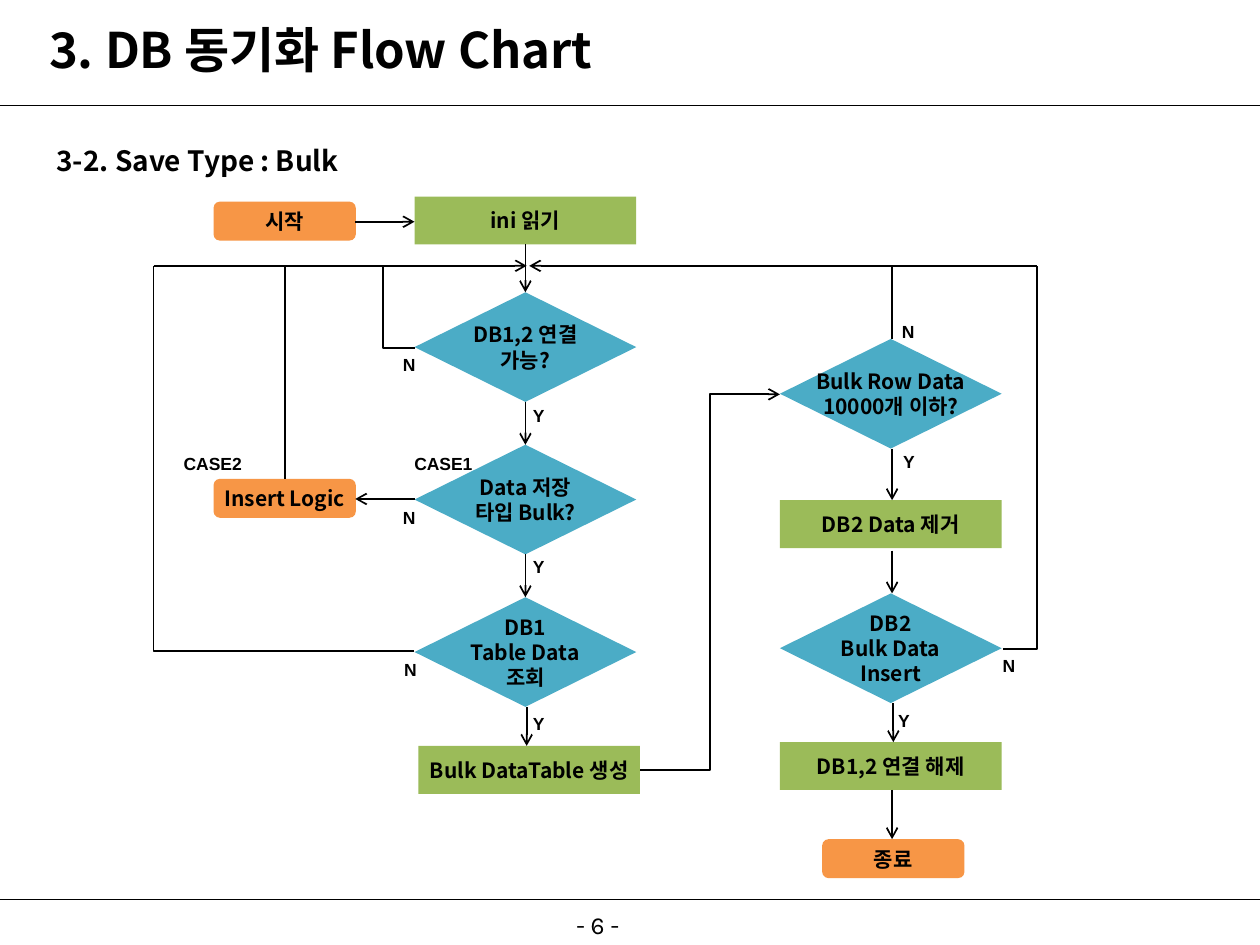
from pptx import Presentation
from pptx.dml.color import RGBColor
from pptx.enum.shapes import MSO_CONNECTOR, MSO_SHAPE
from pptx.enum.text import MSO_ANCHOR, MSO_AUTO_SIZE, PP_ALIGN
from pptx.oxml.ns import qn
from pptx.util import Inches, Pt
from lxml.etree import SubElement

HANGUL = "Noto Sans CJK KR"
BLACK = "000000"
SIDE, MAIN, BULK = 2.26, 4.17, 7.07
STEP_TOP, STEP_PITCH = 2.32, 1.21
STEPS = [STEP_TOP + STEP_PITCH * row for row in range(3)]
CHECK_TOP, INSERT_TOP = 2.69, 4.71
BOX_W, DIAMOND_H, BOX_H = 1.76, 0.87, 0.38
RETURN_Y = 2.11
MAIN_LEFT, BULK_LEFT = MAIN - BOX_W / 2, BULK - BOX_W / 2

KINDS = {
    "terminal": (MSO_SHAPE.FLOWCHART_ALTERNATE_PROCESS, "F79646", 1.13, 0.31),
    "process": (MSO_SHAPE.RECTANGLE, "9BBB59", BOX_W, BOX_H),
    "decision": (MSO_SHAPE.DIAMOND, "4BACC6", BOX_W, DIAMOND_H),
}

NODES = [
    ("terminal", SIDE, 1.6, "시작"),
    ("process", MAIN, 1.56, "ini 읽기"),
    ("decision", MAIN, STEPS[0], "DB1,2 연결\n가능?"),
    ("decision", MAIN, STEPS[1], "Data 저장\n타입 Bulk?"),
    ("terminal", SIDE, 3.8, "Insert Logic"),
    ("decision", MAIN, STEPS[2], "DB1\nTable Data\n조회"),
    ("process", MAIN + 0.03, 5.92, "Bulk DataTable 생성"),
    ("decision", BULK, CHECK_TOP, "Bulk Row Data\n10000개 이하?"),
    ("process", BULK, 3.97, "DB2 Data 제거"),
    ("decision", BULK, INSERT_TOP, "DB2\nBulk Data\nInsert"),
    ("process", BULK, 5.89, "DB1,2 연결 해제"),
    ("terminal", BULK + 0.02, 6.66, "종료"),
]

ANSWERS = [
    ("N", 3.1, 2.76), ("N", 3.1, 3.97), ("N", 3.11, 5.18),
    ("Y", 4.13, 3.16), ("Y", 4.13, 4.36), ("Y", 4.13, 5.61),
    ("N", 7.06, 2.5), ("Y", 7.07, 3.53),
    ("N", 7.86, 5.15), ("Y", 7.03, 5.58),
    ("CASE1", 3.19, 3.54), ("CASE2", 1.36, 3.54),
]
ANSWER_WIDTHS = {"N": 0.3, "Y": 0.29, "CASE1": 0.67, "CASE2": 0.67}

DOWN_ARROWS = [
    (MAIN, 1.94, STEPS[0]),
    (MAIN, STEPS[0] + DIAMOND_H, STEPS[1]),
    (MAIN, STEPS[1] + DIAMOND_H, STEPS[2]),
    (MAIN + 0.01, STEPS[2] + DIAMOND_H, 5.92),
    (BULK + 0.01, CHECK_TOP + DIAMOND_H, 3.97),
    (BULK + 0.01, 4.37, INSERT_TOP),
    (BULK + 0.02, INSERT_TOP + DIAMOND_H, 5.89),
    (BULK + 0.01, 6.27, 6.66),
]


def color(value):
    return RGBColor.from_string(value)


def write(frame, text, size=12, font=HANGUL, bold=True, align=PP_ALIGN.CENTER,
          anchor=MSO_ANCHOR.MIDDLE, wrap=False, spacing=None):
    frame.auto_size = MSO_AUTO_SIZE.NONE
    frame.word_wrap = wrap
    frame.vertical_anchor = anchor
    for index, line in enumerate(text.split("\n")):
        paragraph = frame.add_paragraph() if index else frame.paragraphs[0]
        paragraph.alignment = align
        paragraph.line_spacing = spacing
        run = paragraph.add_run()
        run.text = line
        run.font.size = Pt(size)
        run.font.bold = bold
        run.font.name = font
        run.font.color.rgb = color(BLACK)
        east_asian = SubElement(run.font._element, qn("a:ea"))
        east_asian.set("typeface", font)


def add_label(slide, text, left, top, width, height, **style):
    label = slide.shapes.add_textbox(*map(Inches, (left, top, width, height)))
    write(label.text_frame, text, **style)


def add_node(slide, kind, center, top, text):
    outline, fill, width, height = KINDS[kind]
    node = slide.shapes.add_shape(
        outline, *map(Inches, (center - width / 2, top, width, height)))
    node.shadow.inherit = False
    node.fill.solid()
    node.fill.fore_color.rgb = color(fill)
    node.line.fill.background()
    write(node.text_frame, text)


def add_flow(slide, start, end, route=MSO_CONNECTOR.STRAIGHT, arrow=None, weight=1):
    flow = slide.shapes.add_connector(route, *map(Inches, (*start, *end)))
    flow.line.color.rgb = color(BLACK)
    flow.line.width = Pt(weight)
    if arrow:
        SubElement(flow.line._get_or_add_ln(), qn(f"a:{arrow}")).set("type", "arrow")
    SubElement(flow._element.spPr, qn("a:effectLst"))
    return flow


def add_elbow(slide, start, end, bend=None, arrow=None):
    elbow = add_flow(slide, start, end, MSO_CONNECTOR.ELBOW, arrow)
    geometry = elbow._element.spPr.find(qn("a:prstGeom"))
    if bend is None:
        geometry.set("prst", "bentConnector2")
    else:
        guides = geometry.find(qn("a:avLst"))
        if guides is None:
            guides = SubElement(geometry, qn("a:avLst"))
        guide = SubElement(guides, qn("a:gd"))
        guide.set("name", "adj1")
        guide.set("fmla", f"val {round(bend * 100000)}")


def add_headings(slide):
    title = slide.shapes.title
    title.left, title.top, title.width, title.height = map(
        Inches, (0.29, 0.15, 9.75, 0.47))
    write(title.text_frame, "3. DB 동기화 Flow Chart", size=28,
          align=PP_ALIGN.LEFT, wrap=True)
    add_label(slide, "3-2. Save Type : Bulk", 0.35, 0.96, 3.88, 0.45, size=16,
              align=PP_ALIGN.LEFT, anchor=MSO_ANCHOR.TOP, wrap=True, spacing=1.5)
    add_label(slide, "- 6 -", 3.98, 7.17, 1.53, 0.33, size=14, font="Karla",
              bold=False, anchor=MSO_ANCHOR.TOP, wrap=True)
    for rule_y in (0.84, 7.14):
        add_flow(slide, (0, rule_y), (10, rule_y), weight=0.75)


def add_flows(slide):
    for x, top, bottom in DOWN_ARROWS:
        add_flow(slide, (x, top), (x, bottom), arrow="tailEnd")
    add_flow(slide, (2.82, 1.76), (MAIN_LEFT, 1.76), arrow="tailEnd")
    add_flow(slide, (MAIN_LEFT, 3.96), (2.82, 3.96), arrow="tailEnd")
    add_flow(slide, (SIDE, 3.8), (SIDE, RETURN_Y))
    add_flow(slide, (1.22, RETURN_Y), (3.05, RETURN_Y))
    add_flow(slide, (7.06, RETURN_Y), (8.23, RETURN_Y))
    add_elbow(slide, (MAIN_LEFT, 2.76), (4.18, RETURN_Y), bend=-0.28, arrow="tailEnd")
    add_elbow(slide, (5.08, 6.11), (BULK_LEFT, 3.13), bend=0.5, arrow="tailEnd")
    add_elbow(slide, (MAIN_LEFT, 5.17), (1.22, RETURN_Y))
    add_elbow(slide, (4.2, RETURN_Y), (7.08, CHECK_TOP), arrow="headEnd")
    add_elbow(slide, (7.96, 5.15), (8.23, RETURN_Y))


def main():
    deck = Presentation()
    deck.slide_width, deck.slide_height = Inches(10), Inches(7.5)
    slide = deck.slides.add_slide(deck.slide_layouts[5])
    add_headings(slide)
    for node in NODES:
        add_node(slide, *node)
    add_flows(slide)
    for text, left, top in ANSWERS:
        add_label(slide, text, left, top, ANSWER_WIDTHS[text], 0.27, size=10,
                  font="Arial", align=PP_ALIGN.LEFT)
    deck.save("out.pptx")


if __name__ == "__main__":
    main()
